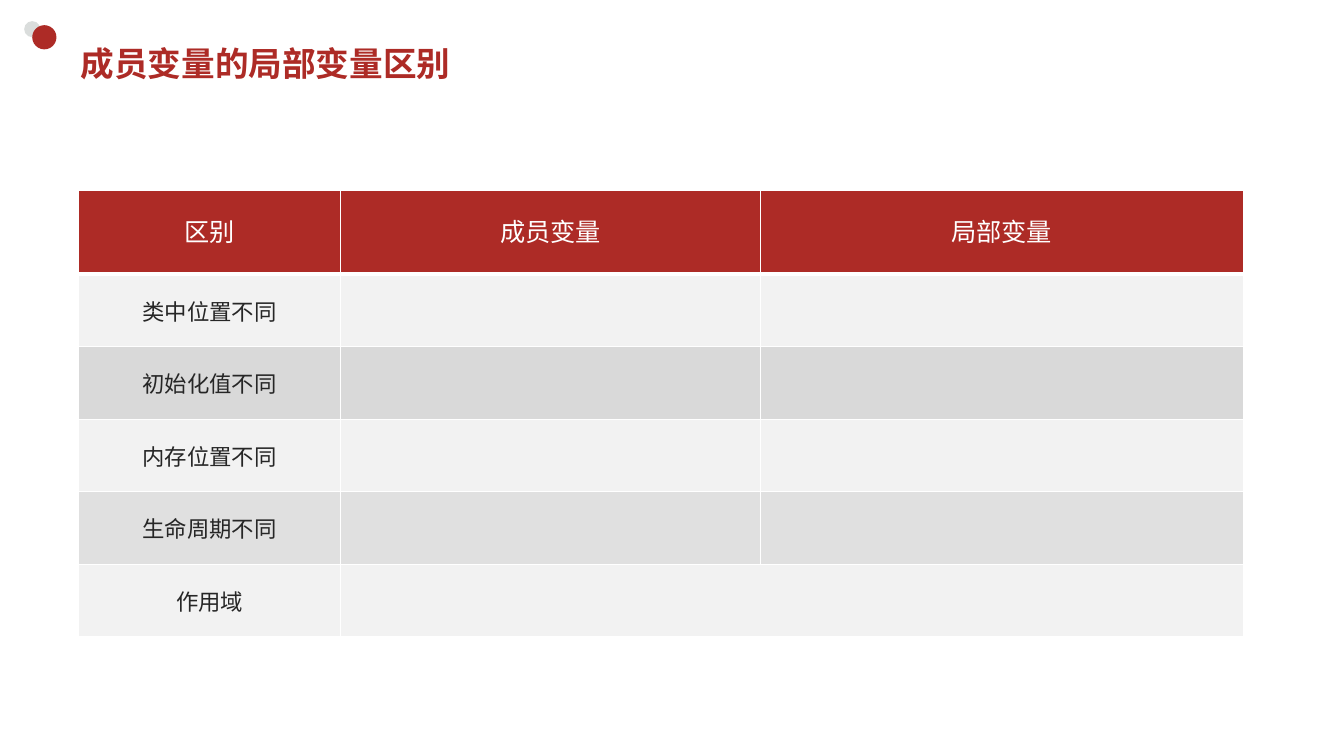
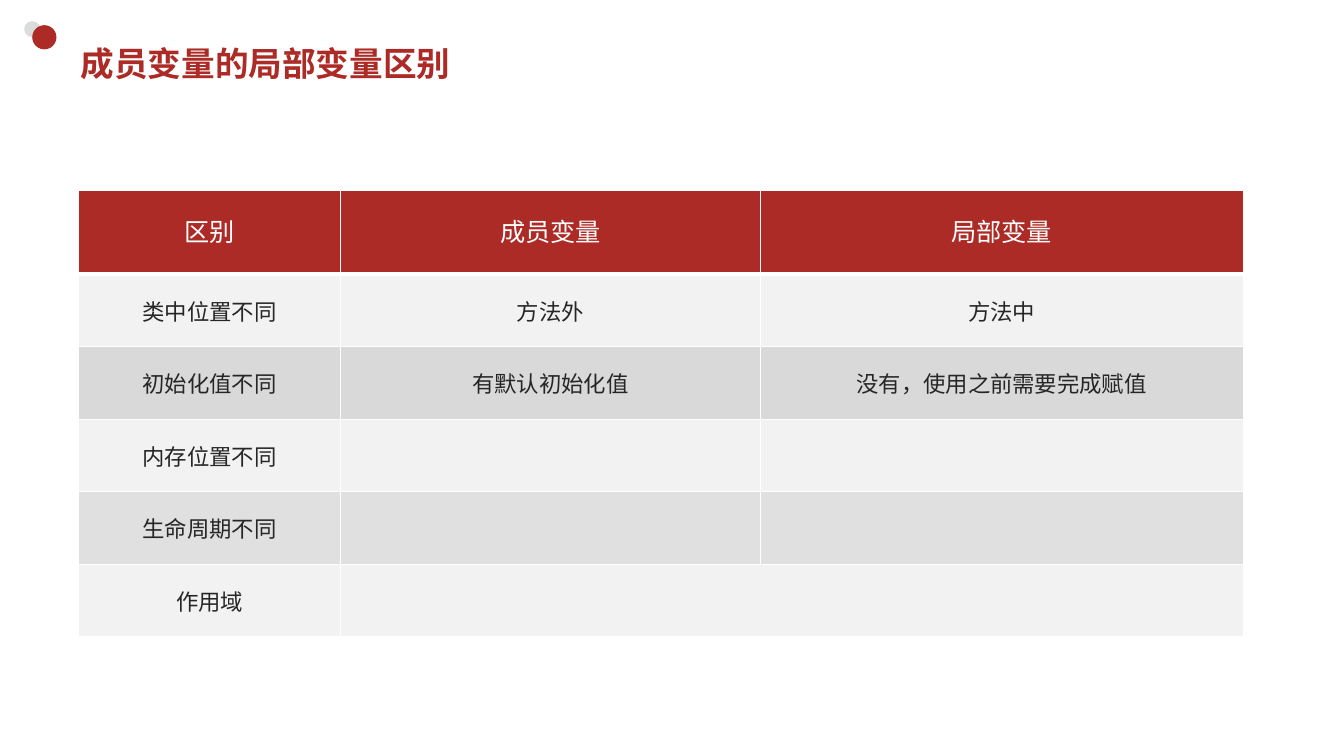
from lxml import etree
from pptx import Presentation
from pptx import util as u
from pptx.dml.color import RGBColor
from pptx.enum import shapes, text
from pptx.oxml import ns

RED = RGBColor(0xAD, 0x2B, 0x26)
DOT_GRAY = RGBColor(0xDA, 0xDD, 0xDC)
LIGHT = RGBColor(0xF2, 0xF2, 0xF2)
DARK = RGBColor(0xD9, 0xD9, 0xD9)
INK = RGBColor(0x26, 0x26, 0x26)
WHITE = RGBColor(0xFF, 0xFF, 0xFF)

TITLE = "成员变量的局部变量区别"
HEADER = ["区别", "成员变量", "局部变量"]
LABELS = ["类中位置不同", "初始化值不同", "内存位置不同", "生命周期不同", "作用域"]
COLUMN_WIDTHS = [2.6, 4.16, 4.79]
ROW_HEIGHTS = [0.83] + [0.72] * len(LABELS)
ROW_FILLS = [RED, LIGHT, DARK, LIGHT, DARK, LIGHT]
TRANSLUCENT_ROW = 4

# Answers shown on each slide, by row
SLIDE_ANSWERS = [
    {},
    {1: ["方法外", "方法中"], 2: ["有默认初始化值", "没有，使用之前需要完成赋值"]},
]


def add_borders(cell, row_index):
    """Draw white cell borders, with a thick rule under the header row."""
    properties = cell._tc.get_or_add_tcPr()
    thick_side = {0: "lnB", 1: "lnT"}.get(row_index)
    for side in ("lnL", "lnR", "lnT", "lnB"):
        width = u.Pt(3 if side == thick_side else 1)
        line = etree.SubElement(properties, ns.qn("a:" + side), w=str(int(width)))
        solid = etree.SubElement(line, ns.qn("a:solidFill"))
        etree.SubElement(solid, ns.qn("a:srgbClr"), val=str(WHITE))


presentation = Presentation()
presentation.slide_width = u.Inches(13.33)
presentation.slide_height = u.Inches(7.5)

# Shared layout: title position
layout = presentation.slide_layouts.get_by_name("Title Only")
layout_title = layout.placeholders[0]
layout_title.left, layout_title.top = u.Inches(0.63), u.Inches(0.37)
layout_title.width, layout_title.height = u.Inches(11.74), u.Inches(0.52)

slides = [presentation.slides.add_slide(layout) for answers in SLIDE_ANSWERS]

# Shared layout: corner dots, drawn once and moved to the layout
for shape_id, left, top, size, color in [(101, 0.24, 0.21, 0.16, DOT_GRAY),
                                         (102, 0.32, 0.25, 0.24, RED)]:
    dot = slides[0].shapes.add_shape(shapes.MSO_SHAPE.OVAL, u.Inches(left), u.Inches(top),
                                     u.Inches(size), u.Inches(size))
    dot.shadow.inherit = False
    dot.fill.solid()
    dot.fill.fore_color.rgb = color
    dot.line.fill.background()
    dot.name = f"Corner dot {shape_id - 100}"
    dot.element.nvSpPr.cNvPr.set("id", str(shape_id))
    layout.shapes.element.append(dot.element)

for slide, answers in zip(slides, SLIDE_ANSWERS):
    # Title
    frame = slide.shapes.title.text_frame
    frame.auto_size = text.MSO_AUTO_SIZE.NONE
    frame.vertical_anchor = text.MSO_ANCHOR.MIDDLE
    frame.margin_left = u.Inches(0.17)
    paragraph = frame.paragraphs[0]
    paragraph.alignment = text.PP_ALIGN.LEFT
    run = paragraph.add_run()
    run.text = TITLE
    run.font.name = "Courier New"
    run.font.size = u.Pt(24)
    run.font.bold = True
    run.font.color.rgb = RED

    # Comparison table
    rows = [HEADER]
    for row_index, label in enumerate(LABELS, start=1):
        rows.append([label] + answers.get(row_index, ["", ""]))
    table = slide.shapes.add_table(len(rows), len(HEADER), u.Inches(0.78), u.Inches(1.89),
                                   u.Inches(sum(COLUMN_WIDTHS)),
                                   u.Inches(sum(ROW_HEIGHTS))).table
    table.first_row = False
    table.horz_banding = False
    for column, width in zip(table.columns, COLUMN_WIDTHS):
        column.width = u.Inches(width)
    for row, height in zip(table.rows, ROW_HEIGHTS):
        row.height = u.Inches(height)

    for row_index, words in enumerate(rows):
        is_header = row_index == 0
        for column_index, word in enumerate(words):
            cell = table.cell(row_index, column_index)
            add_borders(cell, row_index)
            cell.fill.solid()
            cell.fill.fore_color.rgb = ROW_FILLS[row_index]
            if row_index == TRANSLUCENT_ROW:
                fill = cell._tc.tcPr.find(ns.qn("a:solidFill"))
                etree.SubElement(fill[0], ns.qn("a:alpha"), val="80000")
            if not word:
                continue
            cell.vertical_anchor = text.MSO_ANCHOR.MIDDLE
            paragraph = cell.text_frame.paragraphs[0]
            paragraph.alignment = text.PP_ALIGN.CENTER
            if is_header:
                paragraph.line_spacing = u.Pt(24)
            run = paragraph.add_run()
            run.text = word
            run.font.name = "Lato"
            run.font.size = u.Pt(18 if is_header else 16)
            run.font.color.rgb = WHITE if is_header else INK

    # The scope row has one wide answer cell
    last_row = len(rows) - 1
    table.cell(last_row, 1).merge(table.cell(last_row, 2))

presentation.save("out.pptx")
